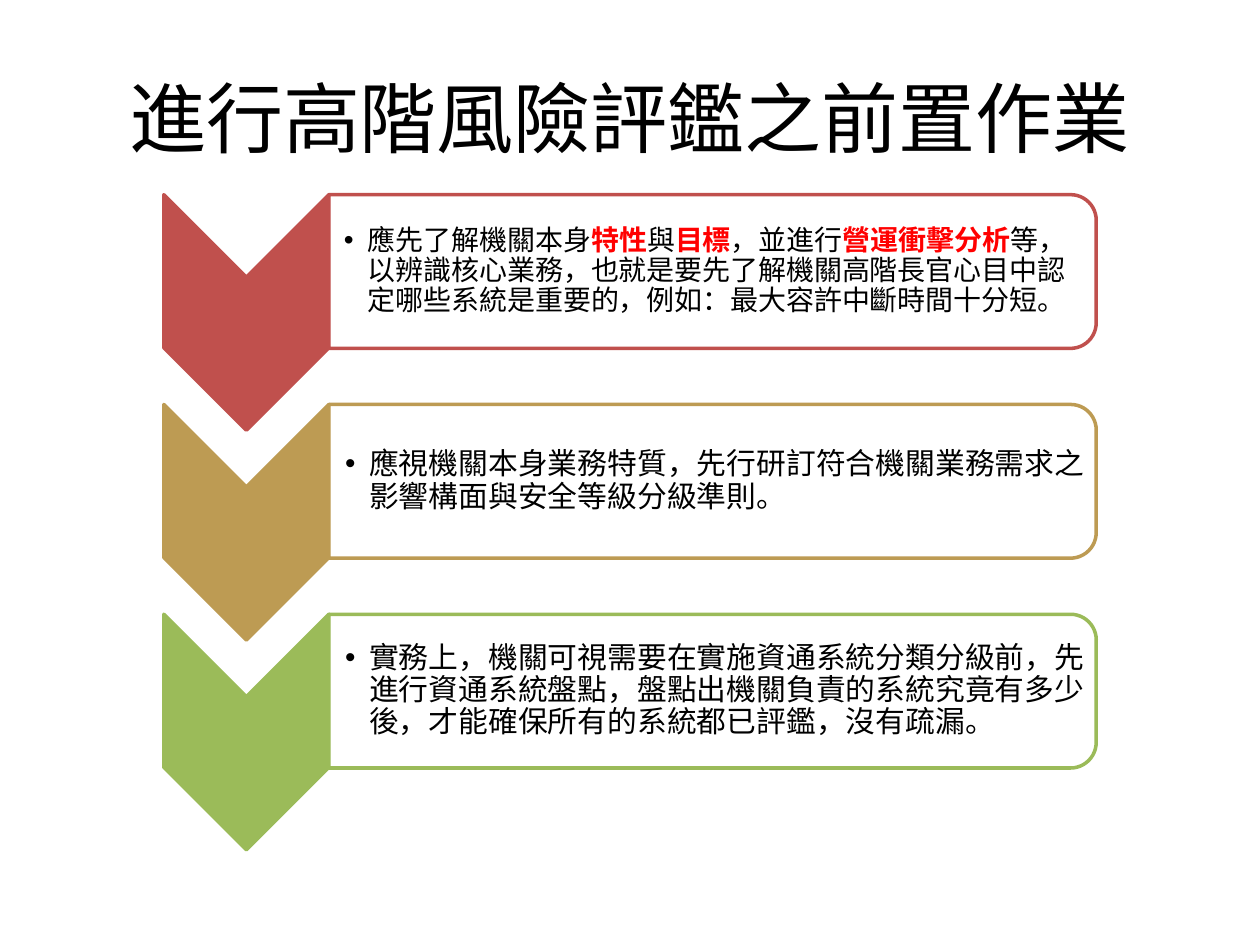
from dataclasses import dataclass

from lxml.etree import SubElement
from pptx import Presentation
from pptx.dml.color import RGBColor
from pptx.enum.shapes import MSO_SHAPE as Shape
from pptx.enum.text import MSO_ANCHOR as Anchor, PP_ALIGN as Align
from pptx.oxml.ns import qn
from pptx.util import Inches, Pt

WIDE, HIGH = 10, 7.5
TOP, PITCH = 20.6, 22.2
FONT, BLACK, RED, WHITE = "Calibri", "000000", "FF0000", "FFFFFF"


@dataclass
class Box:
    """A frame in percent of the slide's width and height."""
    left: float
    top: float
    width: float
    height: float

    def inches(self) -> tuple[float, float, float, float]:
        """Return the frame in inches."""
        return (self.left * WIDE / 100, self.top * HIGH / 100,
                self.width * WIDE / 100, self.height * HIGH / 100)


@dataclass
class Step:
    """One row; every second phrase of its text is stressed."""
    hue: str
    size: int
    inset: float
    words: list[str]


STEPS = [
    Step("C0504D", 16, 0.12, [
        "應先了解機關本身", "特性", "與", "目標", "，並進行", "營運衝擊分析",
        "等，以辨識核心業務，也就是要先了解機關高階長官心目中認定哪些系統是重要的，"
        "例如：最大容許中斷時間十分短。"]),
    Step("BD9B53", 17, 0.13, [
        "應視機關本身業務特質，先行研訂符合機關業務需求之影響構面與安全等級分級準則。"]),
    Step("9BBB59", 17, 0.13, [
        "實務上，機關可視需要在實施資通系統分類分級前，先進行資通系統盤點，"
        "盤點出機關負責的系統究竟有多少後，才能確保所有的系統都已評鑑，沒有疏漏。"]),
]


def paint(color, code: str) -> None:
    """Set a colour format, or a fill, to a hex colour."""
    if hasattr(color, "solid"):
        color.solid()
        color = color.fore_color
    color.rgb = RGBColor.from_string(code)


def turned(slide, kind: Shape, box: Box, fill: str, line: str):
    """Draw a shape turned by 90 degrees that covers the box."""
    x, y, w, h = box.inches()
    shift = (w - h) / 2
    shape = slide.shapes.add_shape(
        kind, Inches(x + shift), Inches(y - shift), Inches(h), Inches(w))
    shape.rotation = 90
    shape.shadow.inherit = False
    paint(shape.fill, fill)
    paint(shape.line.color, line)
    shape.line.width = Pt(2)
    return shape


def label(slide, box: Box):
    """Add a wrapped, middle-anchored text box and return its frame."""
    frame = slide.shapes.add_textbox(*map(Inches, box.inches())).text_frame
    frame.word_wrap = True
    frame.vertical_anchor = Anchor.MIDDLE
    return frame


def style(para, size: int) -> None:
    """Set the font of a whole paragraph."""
    para.font.name = FONT
    para.font.size = Pt(size)
    paint(para.font.color, BLACK)


def bullet(para) -> None:
    """Give the paragraph a hanging bullet."""
    props = para._p.get_or_add_pPr()
    indent = Inches(0.19)
    props.set("marL", str(indent))
    props.set("indent", str(-indent))
    SubElement(props, qn("a:buFont"), typeface="Arial")
    SubElement(props, qn("a:buChar"), char="•")


def draw(slide, step: Step, row: int) -> None:
    """Draw the arrow, panel and text of one row."""
    top = TOP + row * PITCH
    turned(slide, Shape.CHEVRON, Box(13, top, 13.1, 24.93), step.hue, step.hue)
    panel = turned(slide, Shape.ROUND_2_SAME_RECTANGLE,
                   Box(26.1, top, 60.9, 16.27), WHITE, step.hue)
    tint = panel._element.spPr.find(qn("a:solidFill"))[0]
    SubElement(tint, qn("a:alpha"), val="90000")
    frame = label(slide, Box(26.1, top + 0.8, 60.3, 14.67))
    frame.margin_left = Inches(step.inset)
    frame.margin_top = frame.margin_right = frame.margin_bottom = Inches(0.01)
    para = frame.paragraphs[0]
    para.line_spacing = 0.9
    bullet(para)
    style(para, step.size)
    for spot, phrase in enumerate(step.words):
        run = para.add_run()
        run.text = phrase
        if spot % 2:
            run.font.bold = True
            paint(run.font.color, RED)


def main() -> None:
    """Build and save the slide."""
    deck = Presentation()
    deck.slide_width, deck.slide_height = Inches(WIDE), Inches(HIGH)
    slide = deck.slides.add_slide(deck.slide_layouts[6])
    title = label(slide, Box(5, 4, 90, 16.67)).paragraphs[0]
    title.text = "進行高階風險評鑑之前置作業"
    title.alignment = Align.CENTER
    style(title, 44)
    for row, step in enumerate(STEPS):
        draw(slide, step, row)
    deck.save("out.pptx")


if __name__ == "__main__":
    main()
